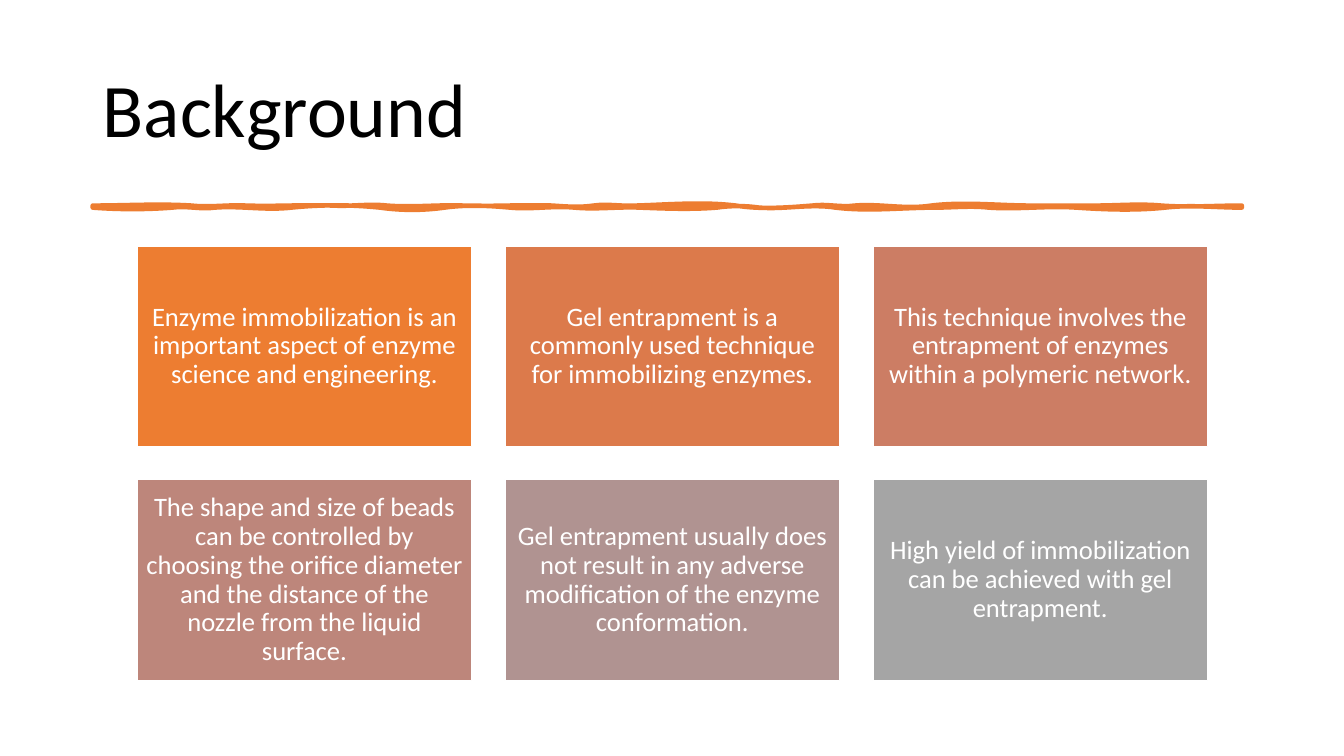
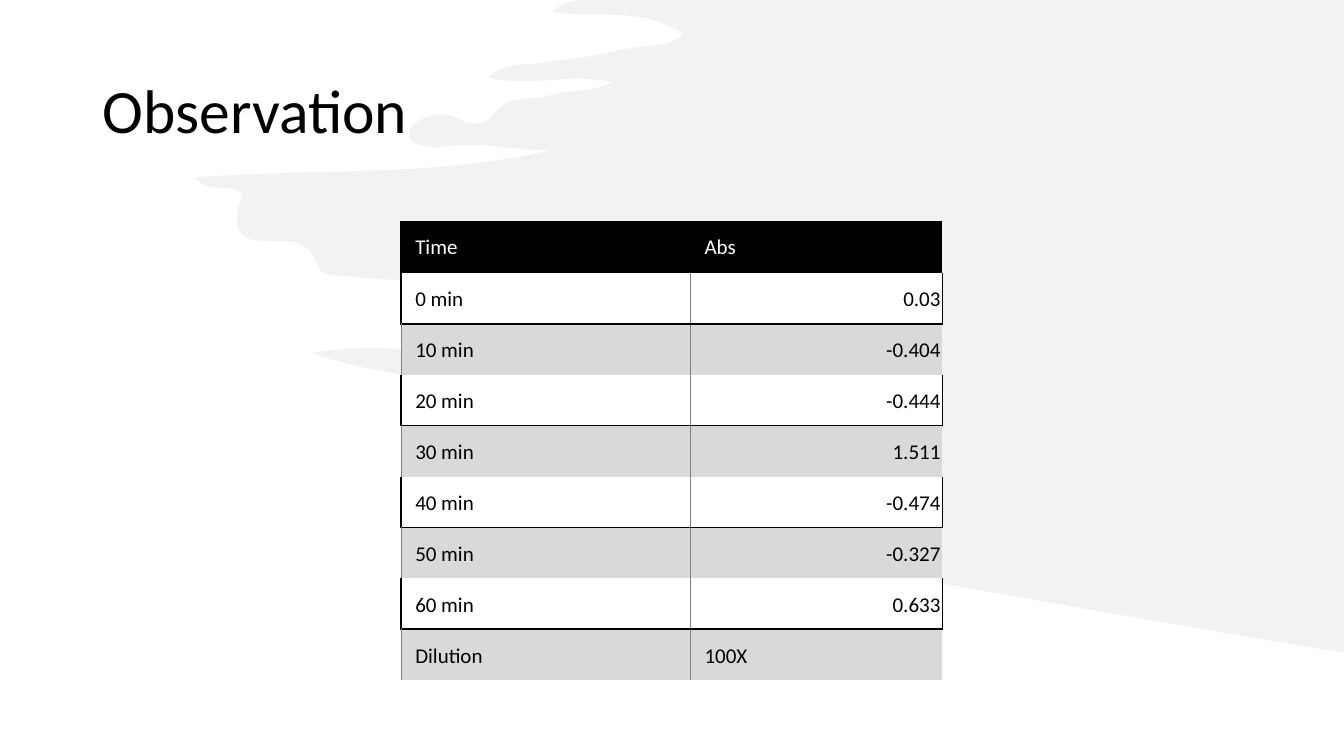
import lxml.etree
import pptx
import pptx.dml.color
import pptx.enum.shapes
import pptx.enum.text
import pptx.oxml.ns
import pptx.util

RGB = pptx.dml.color.RGBColor
ALIGN = pptx.enum.text.PP_ALIGN
ANCHOR = pptx.enum.text.MSO_ANCHOR
Inches = pptx.util.Inches
Pt = pptx.util.Pt
qn = pptx.oxml.ns.qn

FONT = "Calibri"
BLACK = RGB(0x00, 0x00, 0x00)
WHITE = RGB(0xFF, 0xFF, 0xFF)
ORANGE = RGB(0xED, 0x7D, 0x31)
BAND = RGB(0xD9, 0xD9, 0xD9)
GRID = RGB(0x80, 0x80, 0x80)
BRUSH = RGB(0xE7, 0xE6, 0xE6)

SLIDE_W, SLIDE_H = 40 / 3, 7.5
MARGIN = 0.92
CARD_LEFT, CARD_TOP, CARD_W, CARD_H, GAP = 1.36, 2.44, 3.32, 1.99, 0.33
CARD_COLS = 3
ROW_H = 4.55 / 9
HEAVY, THIN = (BLACK, 1.5), (GRID, 0.5)

CARDS = [
    ("Enzyme immobilization is an important aspect of enzyme science and engineering.", ORANGE),
    ("Gel entrapment is a commonly used technique for immobilizing enzymes.", RGB(0xDC, 0x7A, 0x4B)),
    ("This technique involves the entrapment of enzymes within a polymeric network.", RGB(0xCC, 0x7D, 0x64)),
    ("The shape and size of beads can be controlled by choosing the orifice diameter "
     "and the distance of the nozzle from the liquid surface.", RGB(0xBD, 0x86, 0x7B)),
    ("Gel entrapment usually does not result in any adverse modification of the "
     "enzyme conformation.", RGB(0xB0, 0x93, 0x91)),
    ("High yield of immobilization can be achieved with gel entrapment.", RGB(0xA5, 0xA5, 0xA5)),
]

READINGS = [
    ("Time", "Abs"), ("0 min", "0.03"), ("10 min", "-0.404"), ("20 min", "-0.444"),
    ("30 min", "1.511"), ("40 min", "-0.474"), ("50 min", "-0.327"),
    ("60 min", "0.633"), ("Dilution", "100X"),
]

RULE_RIGHT, RULE_Y, RULE_H = 12.32, 2.04, 0.02
RULE_TOP = [
    (1.9, 0, -2), (2.44, 2, -1), (3.31, 1, -1), (3.84, 1, -2), (4.6, 2, -1), (5.48, 1, -1),
    (5.89, 1, 2), (6.31, -2, 1), (7.3, -1, -4), (8.06, 4, 2), (8.48, -2, 2), (9.24, -2, 4),
    (10.23, -4, 0), (10.87, 0, 0), (11.52, 0, -2), (RULE_RIGHT, 2, 0),
]
RULE_BOTTOM = [
    (11.56, 0, -3), (10.68, 3, 2), (9.81, -2, 2), (9.28, -2, 0), (8.29, 0, 4), (7.53, -4, 2),
    (7.11, -2, -2), (6.35, 2, 1), (5.7, -1, 2), (5.06, -2, 2), (4.41, -2, -3), (3.77, 3, 3),
    (2.89, -3, -3), (2.13, 3, -2), (1.71, 2, -2), (MARGIN, 2, 2),
]

BRUSH_EDGE = [
    (5.67, 0.01, 5.57, 0.03, 5.48, 0.12), (5.95, 0.19, 6.39, 0.06, 6.78, 0.34),
    (6.64, 0.47, 6.48, 0.44, 6.32, 0.47), (6.16, 0.49, 6, 0.53, 5.84, 0.56),
    (5.67, 0.59, 5.49, 0.6, 5.32, 0.63), (5.18, 0.65, 5.02, 0.61, 4.85, 0.77),
    (5.27, 0.88, 5.66, 0.71, 6.08, 0.82), (5.84, 0.92, 5.63, 0.89, 5.44, 0.95),
    (5.27, 1, 5.06, 0.94, 4.92, 1.11), (4.81, 1.24, 4.69, 1.26, 4.55, 1.18),
    (4.42, 1.11, 4.28, 1.13, 4.15, 1.2), (4.11, 1.23, 4.06, 1.26, 4.06, 1.32),
    (4.06, 1.41, 4.12, 1.43, 4.18, 1.44), (4.24, 1.46, 4.31, 1.47, 4.37, 1.46),
    (4.74, 1.39, 5.1, 1.5, 5.47, 1.49), (4.31, 1.76, 3.14, 1.67, 1.93, 1.76),
    (2.09, 1.95, 2.29, 1.79, 2.41, 1.93), (2.3, 2.22, 2.34, 2.37, 2.58, 2.39),
    (2.8, 2.41, 3.04, 2.31, 3.16, 2.65), (3.2, 2.76, 3.41, 2.73, 3.55, 2.75),
    (3.84, 2.79, 4.14, 2.75, 4.42, 2.88), (4.53, 2.93, 4.6, 2.97, 4.55, 3.11),
    (4.49, 3.25, 4.56, 3.3, 4.66, 3.36), (4.73, 3.4, 4.83, 3.39, 4.89, 3.52),
    (4.28, 3.5, 3.69, 3.4, 3.09, 3.5), (3.75, 3.74, 4.47, 3.73, 5.12, 4.02),
    (5.1, 4.12, 4.95, 4.07, 4.94, 4.22), (5.28, 4.38, 5.69, 4.27, 6.05, 4.5),
    (5.84, 4.61, 5.65, 4.44, 5.45, 4.54), (5.52, 4.69, 8.4, 5.61, 8.92, 5.71),
    (9.78, 5.87, 11.95, 6.25, 13.18, 6.45),
]


def wavy_edge(x, y, waves):
    """Return curves along y; each wave is its end x and two swings in hundredths."""
    curves = []
    for end, swing1, swing2 in waves:
        third = (end - x) / 3
        curves.append((x + third, y + swing1 / 100, end - third, y + swing2 / 100, end, y))
        x = end
    return curves


def add_outline(s, start, segments, color):
    """Add a closed filled outline; a segment has two numbers for a line, six for a curve."""
    builder = s.shapes.build_freeform(*map(Inches, start))
    for segment in segments:
        emu = [Inches(v) for v in segment]
        builder.add_line_segments(list(zip(emu[::2], emu[1::2])), close=False)
    builder.add_line_segments([], close=True)
    sp = builder.convert_to_shape()
    steps = iter(list(sp.element.iter(qn("a:lnTo"))))
    for segment in segments:
        group = [next(steps) for _ in segment[::2]]
        if len(group) == 3:
            curve = lxml.etree.Element(qn("a:cubicBezTo"))
            group[0].addprevious(curve)
            for step in group:
                curve.append(step[0])
                step.getparent().remove(step)
    sp.shadow.inherit = False
    sp.fill.solid()
    sp.fill.fore_color.rgb = color
    sp.line.fill.background()
    return sp


def write(p, text, size, color, align=ALIGN.LEFT):
    """Put one formatted run into a paragraph."""
    p.alignment = align
    r = p.add_run()
    r.text = text
    r.font.name, r.font.size, r.font.color.rgb = FONT, Pt(size), color


def add_titled_slide(prs, title, size):
    """Add a title-only slide with the shared title position and style."""
    s = prs.slides.add_slide(prs.slide_layouts[5])
    sp = s.shapes.title
    sp.left, sp.top, sp.width, sp.height = map(Inches, (MARGIN, 0.4, 11.5, 1.45))
    tf = sp.text_frame
    tf.auto_size = pptx.enum.text.MSO_AUTO_SIZE.NONE
    tf.vertical_anchor = ANCHOR.MIDDLE
    tf.paragraphs[0].line_spacing = 0.9
    write(tf.paragraphs[0], title, size, BLACK)
    return s


def add_rule(s):
    """Add the hand-drawn rule below the title."""
    bottom = RULE_Y + RULE_H
    segments = (wavy_edge(MARGIN, RULE_Y, RULE_TOP) + [(RULE_RIGHT, bottom)]
                + wavy_edge(RULE_RIGHT, bottom, RULE_BOTTOM))
    sp = add_outline(s, (MARGIN, RULE_Y), segments, ORANGE)
    sp.line.color.rgb = ORANGE
    sp.line.width = Pt(3.25)


def add_brush(s):
    """Add the half-transparent brush stroke behind the title."""
    segments = BRUSH_EDGE + [(SLIDE_W, 6.47), (SLIDE_W, 0)]
    sp = add_outline(s, (5.75, 0), segments, BRUSH)
    color = sp.element.spPr.find(qn("a:solidFill"))[0]
    lxml.etree.SubElement(color, qn("a:alpha"), val="50000")
    s.shapes.title.element.addprevious(sp.element)


def add_card(s, index, text, color):
    """Add a coloured card at its place in the grid."""
    row, col = divmod(index, CARD_COLS)
    left = CARD_LEFT + col * (CARD_W + GAP)
    top = CARD_TOP + row * (CARD_H + GAP)
    sp = s.shapes.add_shape(pptx.enum.shapes.MSO_SHAPE.RECTANGLE,
                            *map(Inches, (left, top, CARD_W, CARD_H)))
    sp.shadow.inherit = False
    sp.fill.solid()
    sp.fill.fore_color.rgb = color
    sp.line.color.rgb = WHITE
    sp.line.width = Pt(1)
    tf = sp.text_frame
    tf.word_wrap = True
    tf.vertical_anchor = ANCHOR.MIDDLE
    tf.margin_left = tf.margin_right = tf.margin_top = tf.margin_bottom = Inches(0.08)
    tf.paragraphs[0].line_spacing = 0.9
    write(tf.paragraphs[0], text, 19, WHITE, ALIGN.CENTER)


def set_borders(cell, borders):
    """Draw the named sides (L, R, T, B) of a cell and clear the others."""
    tc_pr = cell._tc.get_or_add_tcPr()
    for i, side in enumerate("LRTB"):
        ln = lxml.etree.Element(qn("a:ln" + side))
        tc_pr.insert(i, ln)
        if side in borders:
            color, width = borders[side]
            ln.set("w", str(int(Pt(width))))
            fill = lxml.etree.SubElement(ln, qn("a:solidFill"))
            lxml.etree.SubElement(fill, qn("a:srgbClr"), val=str(color))
        else:
            lxml.etree.SubElement(ln, qn("a:noFill"))


def row_style(row):
    """Return fill, text colour and the borders of both cells for a table row."""
    if row == 0:
        return BLACK, WHITE, ({"L": HEAVY, "T": HEAVY, "R": HEAVY}, {"L": HEAVY, "T": HEAVY})
    if row % 2:
        return WHITE, BLACK, ({"L": HEAVY, "R": THIN, "B": HEAVY},
                              {"L": THIN, "R": HEAVY, "B": HEAVY})
    return BAND, BLACK, ({"L": THIN, "T": HEAVY, "R": THIN}, {"L": THIN, "T": HEAVY})


def add_readings(s, rows):
    """Add the table of absorbance readings."""
    frame = s.shapes.add_table(len(rows), 2, *map(Inches, (3.98, 2.2, 5.37, ROW_H * len(rows))))
    table = frame.table
    table.first_row = table.horz_banding = False
    table.columns[0].width, table.columns[1].width = Inches(2.87), Inches(2.5)
    for i, texts in enumerate(rows):
        table.rows[i].height = Inches(ROW_H)
        fill, ink, borders = row_style(i)
        for j, text in enumerate(texts):
            cell = table.cell(i, j)
            cell.fill.solid()
            cell.fill.fore_color.rgb = fill
            cell.margin_left, cell.margin_right = Inches(0.14), Inches(0.02)
            cell.margin_top = cell.margin_bottom = Inches(0.11)
            cell.vertical_anchor = ANCHOR.BOTTOM if i else ANCHOR.MIDDLE
            is_number = j == 1 and 0 < i < len(rows) - 1
            write(cell.text_frame.paragraphs[0], text, 15, ink,
                  ALIGN.RIGHT if is_number else ALIGN.LEFT)
            set_borders(cell, borders[j])


def main():
    """Build and save the presentation."""
    prs = pptx.Presentation()
    prs.slide_width, prs.slide_height = Inches(SLIDE_W), Inches(SLIDE_H)

    s = add_titled_slide(prs, "Background", 54)
    add_rule(s)
    for i, (text, color) in enumerate(CARDS):
        add_card(s, i, text, color)

    s = add_titled_slide(prs, "Observation", 44)
    add_brush(s)
    add_readings(s, READINGS)

    prs.save("out.pptx")


if __name__ == "__main__":
    main()
